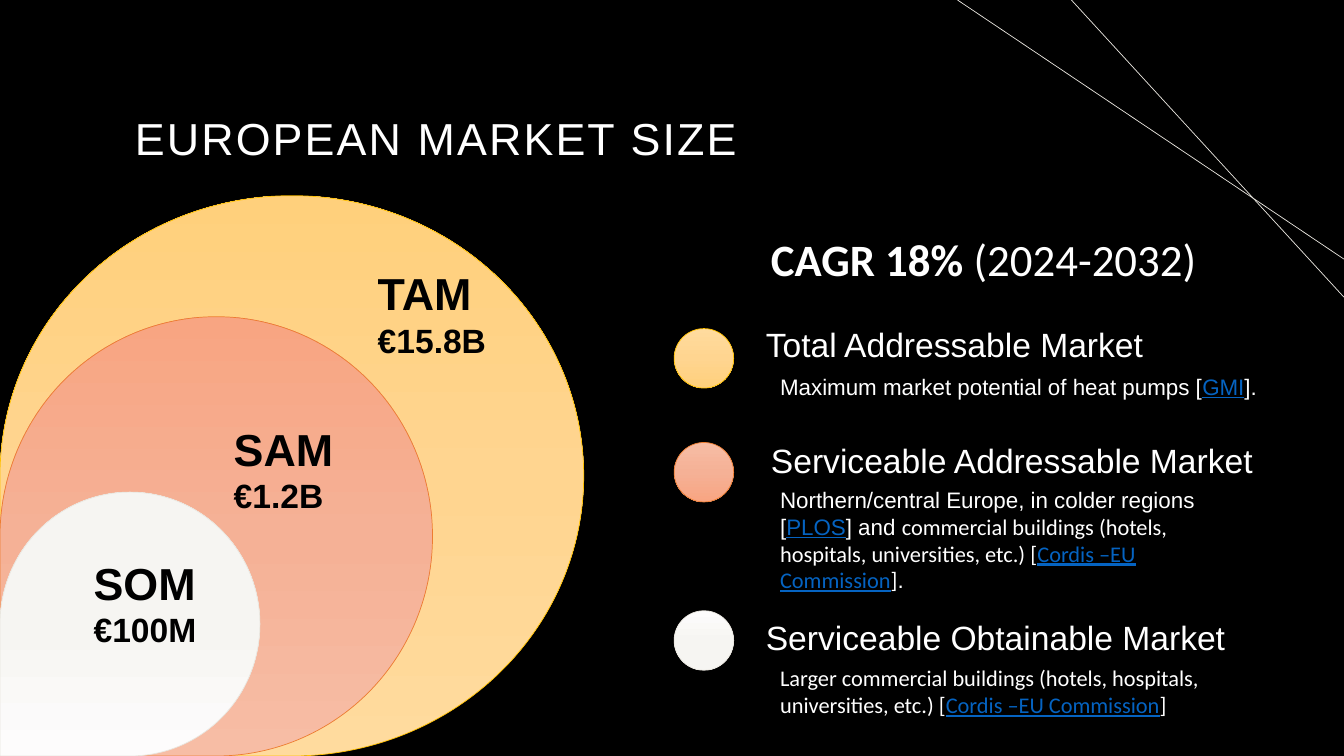
from copy import deepcopy

from pptx import Presentation
from pptx import util as u
from pptx.dml.color import RGBColor
from pptx.enum import shapes, text
from pptx.oxml import ns
from lxml import etree

BLACK = RGBColor(0x00, 0x00, 0x00)
WHITE = RGBColor(0xFF, 0xFF, 0xFF)
LINK = RGBColor(0x05, 0x63, 0xC1)
GOLD = RGBColor(0xFF, 0xC0, 0x00)
ORANGE = RGBColor(0xED, 0x7D, 0x31)
STONE = RGBColor(0xE9, 0xE6, 0xDF)
GOLD_SHADES = [RGBColor.from_string(c) for c in ("FFDB9E", "FFD590", "FFD07C")]
ORANGE_SHADES = [RGBColor.from_string(c) for c in ("F7BDA5", "F5B196", "F8A582")]
STONE_SHADES = [RGBColor.from_string(c) for c in ("FDFCFC", "F6F5F2", "F5F3F0")]

WIDTH, HEIGHT = 33.87, 19.05
DOT_LEFT, DOT_SIZE = 16.99, 1.5
DETAIL_LEFT = 19.41
SANS, BODY = "Arial", "Calibri"

TITLE = "EUROPEAN MARKET SIZE"
GROWTH = [("CAGR 18% ", True), ("(2024-2032)", False)]
CORNER_LINES = [(24.13, 6.53), (27.0, 7.49)]

MARKETS = [
    {
        "label": ("TAM", "€15.8B"), "label_at": (9.27, 6.58, 4.17, 2.64),
        "drop": (14.71, 14.12), "shades": GOLD_SHADES, "edge": GOLD, "dot_top": 8.28,
        "heading": "Total Addressable Market", "heading_at": (19.05, 8.05, 14.5, 1.27),
        "detail": [
            ("Maximum market potential of heat pumps [", SANS, False),
            ("GMI", SANS, True),
            ("].", SANS, False),
        ],
        "detail_at": (DETAIL_LEFT, 9.27, 12.67, 0.94),
    },
    {
        "label": ("SAM", "€1.2B"), "label_at": (5.64, 10.49, 3.66, 2.64),
        "drop": (10.9, 11.07), "shades": ORANGE_SHADES, "edge": ORANGE, "dot_top": 11.15,
        "heading": "Serviceable Addressable Market", "heading_at": (19.18, 10.95, 14.5, 1.27),
        "detail": [
            ("Northern/central Europe, in colder regions [", SANS, False),
            ("PLOS", SANS, True),
            ("] and ", SANS, False),
            ("commercial buildings (hotels, hospitals, universities, etc.) [", BODY, False),
            ("Cordis –EU Commission", BODY, True),
            ("]", BODY, False),
            (".", SANS, False),
        ],
        "detail_at": (DETAIL_LEFT, 12.12, 11.18, 3.0),
    },
    {
        "label": ("SOM", "€100M"), "label_at": (2.11, 13.87, 7.06, 2.64),
        "drop": (6.55, 6.65), "shades": STONE_SHADES, "edge": STONE, "dot_top": 15.39,
        "heading": "Serviceable Obtainable Market", "heading_at": (19.05, 15.42, 14.5, 1.27),
        "detail": [
            ("Larger commercial buildings (hotels, hospitals, universities, etc.) [", BODY, False),
            ("Cordis –EU Commission", BODY, True),
            ("]", BODY, False),
        ],
        "detail_at": (DETAIL_LEFT, 16.61, 12.47, 1.63),
    },
]


def place(*lengths):
    return [u.Cm(length) for length in lengths]


def style(font, size, name=None, color=None, bold=None):
    font.size = u.Pt(size)
    font.name = name
    font.bold = bold
    if color is not None:
        font.color.rgb = color


def add_box(page, at):
    box = page.shapes.add_textbox(*place(*at))
    box.text_frame.word_wrap = True
    return box.text_frame


def add_line(page, frame_text, size, color, bold=None, first=True):
    para = frame_text[0].paragraphs[0] if first else frame_text[0].add_paragraph()
    para.text = frame_text[1]
    style(para.font, size, SANS, color, bold)
    return para


def add_gradient_shape(page, kind, at, shades, edge):
    shape = page.shapes.add_shape(kind, *place(*at))
    shape.shadow.inherit = False
    shape.line.color.rgb = edge
    shape.line.width = u.Pt(0.5)
    shape.fill.gradient()
    shape.fill.gradient_angle = 270
    stops = shape.element.spPr.find(ns.qn("a:gradFill")).find(ns.qn("a:gsLst"))
    stops.insert(1, deepcopy(stops[0]))
    for stop, position, shade in zip(shape.fill.gradient_stops, (0, 0.5, 1), shades):
        stop.position = position
        stop.color.rgb = shade
    return shape


def add_corner_line(page, left, bottom):
    line = page.shapes.add_connector(
        shapes.MSO_CONNECTOR.STRAIGHT, *place(left, 0, WIDTH, bottom))
    line.line.color.rgb = STONE
    line.line.width = u.Pt(0.5)
    etree.SubElement(line.element.spPr, ns.qn("a:effectLst"))


def add_detail(page, spans, at):
    para = add_box(page, at).paragraphs[0]
    para.font.size = u.Pt(16)
    for words, font_name, linked in spans:
        span = para.add_run()
        span.text = words
        style(span.font, 16, font_name, LINK if linked else WHITE)
        if linked:
            span.font.underline = True


def main():
    deck = Presentation()
    deck.slide_width, deck.slide_height = place(WIDTH, HEIGHT)
    page = deck.slides.add_slide(deck.slide_layouts[6])
    page.background.fill.solid()
    page.background.fill.fore_color.rgb = BLACK

    for left, bottom in CORNER_LINES:
        add_corner_line(page, left, bottom)

    for market in MARKETS:
        width, height = market["drop"]
        drop = add_gradient_shape(
            page, shapes.MSO_SHAPE.TEAR, (0, HEIGHT - height, width, height),
            market["shades"], market["edge"])
        drop.rotation = 180

    for market in MARKETS:
        add_gradient_shape(
            page, shapes.MSO_SHAPE.OVAL, (DOT_LEFT, market["dot_top"], DOT_SIZE, DOT_SIZE),
            market["shades"], market["edge"])
        add_line(page, (add_box(page, market["heading_at"]), market["heading"]), 24, WHITE)
        add_detail(page, market["detail"], market["detail_at"])
        label = add_box(page, market["label_at"])
        name, amount = market["label"]
        add_line(page, (label, name), 32, BLACK, True)
        add_line(page, (label, amount), 24, BLACK, True, first=False)

    title = add_box(page, (3.15, 2.18, 27.51, 2.74))
    title.vertical_anchor = text.MSO_ANCHOR.MIDDLE
    para = add_line(page, (title, TITLE), 32, WHITE)
    para.line_spacing = 0.9
    para.runs[0].font._element.set("spc", "150")

    para = add_box(page, (19.18, 5.72, 11.99, 1.63)).paragraphs[0]
    style(para.font, 32, BODY, WHITE)
    for words, bold in GROWTH:
        span = para.add_run()
        span.text = words
        span.font.bold = bold

    deck.save("out.pptx")


if __name__ == "__main__":
    main()
